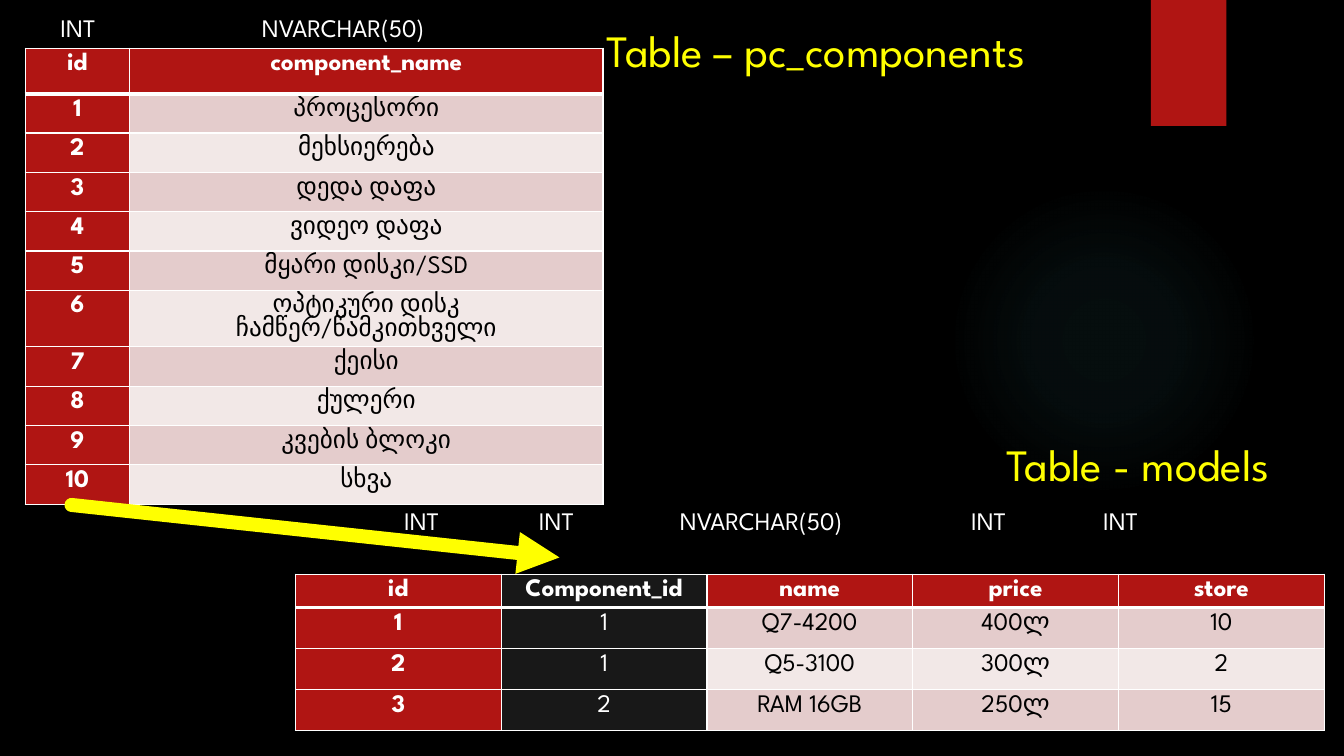
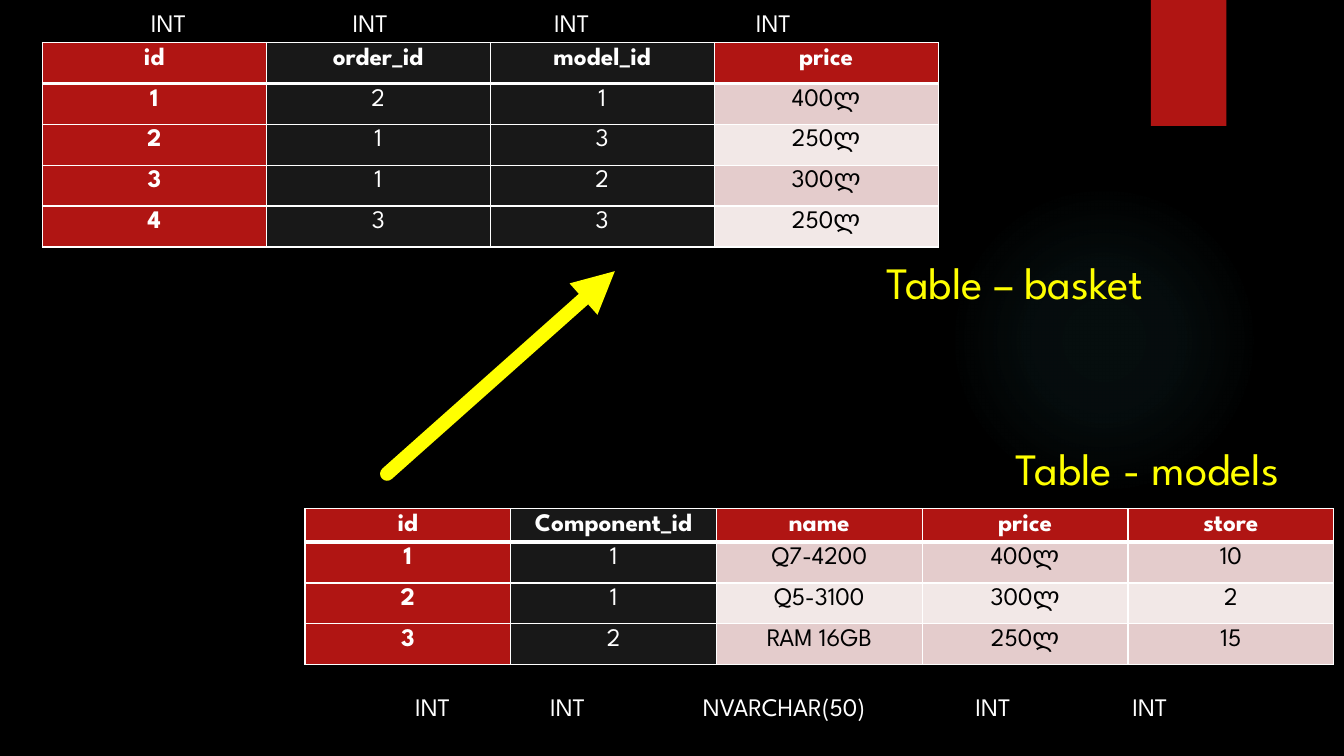
import dataclasses
import typing

import lxml.etree
import pptx
import pptx.dml.color
import pptx.enum.shapes
import pptx.enum.text
import pptx.oxml
import pptx.oxml.ns
import pptx.util

Pt = pptx.util.Pt
RGBColor = pptx.dml.color.RGBColor
Slide = typing.Any

BLACK = RGBColor(0x00, 0x00, 0x00)
WHITE = RGBColor(0xFF, 0xFF, 0xFF)
YELLOW = RGBColor(0xFF, 0xFF, 0x00)
RED = RGBColor(0xB0, 0x15, 0x13)
CHARCOAL = RGBColor(0x18, 0x18, 0x18)
BANDS = (RGBColor(0xE4, 0xCC, 0xCC), RGBColor(0xF2, 0xE8, 0xE7))
GLOW = RGBColor(0x50, 0xB9, 0xC1)
GLOW_STOPS = ((0, 7), (36, 6), (69, 0))
FONT = "League Spartan"
DRAWING = 'xmlns:a="http://schemas.openxmlformats.org/drawingml/2006/main"'


@dataclasses.dataclass(frozen=True)
class DataTable:
    left: float
    top: float
    column_widths: tuple[float, ...]
    row_heights: tuple[float, ...]
    rows: tuple[tuple[str, ...], ...]
    foreign_columns: tuple[int, ...] = ()


@dataclasses.dataclass(frozen=True)
class Label:
    text: str
    left: float
    top: float
    width: float
    size: float
    color: RGBColor
    tab_stops: tuple[float, ...] = ()


@dataclasses.dataclass(frozen=True)
class Arrow:
    start: tuple[float, float]
    end: tuple[float, float]


@dataclasses.dataclass(frozen=True)
class Page:
    tables: tuple[DataTable, ...]
    labels: tuple[Label, ...]
    arrow: Arrow


def caption(text: str, left: float, top: float, width: float) -> Label:
    return Label(text, left, top, width, 32, YELLOW)


def column_types(
    types: tuple[str, ...], left: float, top: float, width: float, tab_stops: tuple[float, ...]
) -> Label:
    return Label("\t".join(types), left, top, width, 18, WHITE, tab_stops)


def models_table(left: float, top: float) -> DataTable:
    rows = (
        ("id", "Component_id", "name", "price", "store"),
        ("1", "1", "Q7-4200", "400ლ", "10"),
        ("2", "1", "Q5-3100", "300ლ", "2"),
        ("3", "2", "RAM 16GB", "250ლ", "15"),
    )
    return DataTable(left, top, (147,) * 5, (23.8,) + (29.2,) * 3, rows, (1,))


COMPONENTS = (
    "პროცესორი",
    "მეხსიერება",
    "დედა დაფა",
    "ვიდეო დაფა",
    "მყარი დისკი/SSD",
    "ოპტიკური დისკ ჩამწერ/წამკითხველი",
    "ქეისი",
    "ქულერი",
    "კვების ბლოკი",
    "სხვა",
)
COMPONENTS_TABLE = DataTable(
    18,
    34.5,
    (74.6, 338.2),
    (32.4,) + (28.1,) * 5 + (40.2,) + (28.1,) * 4,
    (("id", "component_name"),)
    + tuple((str(number), name) for number, name in enumerate(COMPONENTS, 1)),
)
BASKET_TABLE = DataTable(
    30.2,
    30.4,
    (160,) * 4,
    (29.2,) * 5,
    (
        ("id", "order_id", "model_id", "price"),
        ("1", "2", "1", "400ლ"),
        ("2", "1", "3", "250ლ"),
        ("3", "1", "2", "300ლ"),
        ("4", "3", "3", "250ლ"),
    ),
    (1, 2),
)
MODEL_TYPES = ("INT", "INT", "NVARCHAR(50)", "INT", "INT")
PAGES = (
    Page(
        (COMPONENTS_TABLE, models_table(211, 410.2)),
        (
            caption("Table – pc_components", 426.4, 13, 421),
            caption("Table - models", 711.6, 308.2, 241),
            column_types(("INT", "NVARCHAR(50)"), 36, 5.4, 312, (144,)),
            column_types(MODEL_TYPES, 281.5, 357.4, 627, (96.4, 197, 405, 499.3)),
        ),
        Arrow((51.1, 360.7), (399.6, 398.2)),
    ),
    Page(
        (BASKET_TABLE, models_table(217.8, 363.4)),
        (
            caption("Table - models", 718.6, 311, 241),
            caption("Table – basket", 626.4, 178.6, 326),
            column_types(MODEL_TYPES, 289.4, 490.3, 627, (96.4, 205.5, 400.3, 512.3)),
            column_types(("INT",) * 4, 100.8, 1.4, 526, (144, 288, 432)),
        ),
        Arrow((276.5, 338.4), (439.2, 193.7)),
    ),
)


def draw_backdrop(slide: Slide) -> None:
    slide.background.fill.solid()
    slide.background.fill.fore_color.rgb = BLACK
    shapes = pptx.enum.shapes.MSO_SHAPE
    glow = slide.shapes.add_shape(shapes.OVAL, Pt(677.5), Pt(131.8), Pt(221.8), Pt(221.8))
    ribbon = slide.shapes.add_shape(shapes.RECTANGLE, Pt(822), Pt(0), Pt(54), Pt(90))
    for shape in (glow, ribbon):
        shape.shadow.inherit = False
        shape.line.fill.background()
    ribbon.fill.solid()
    ribbon.fill.fore_color.rgb = RED
    stops = "".join(
        f'<a:gs pos="{position * 1000}"><a:srgbClr val="{GLOW}">'
        f'<a:alpha val="{opacity * 1000}"/></a:srgbClr></a:gs>'
        for position, opacity in GLOW_STOPS
    )
    gradient = pptx.oxml.parse_xml(
        f'<a:gradFill {DRAWING} rotWithShape="1"><a:gsLst>{stops}</a:gsLst>'
        '<a:path path="circle"><a:fillToRect l="50000" t="50000" r="50000" b="50000"/>'
        "</a:path></a:gradFill>"
    )
    glow._element.spPr.find(pptx.oxml.ns.qn("a:prstGeom")).addnext(gradient)


def set_borders(cell: typing.Any, row_index: int) -> None:
    widths = {
        "lnL": 1,
        "lnR": 1,
        "lnT": 3 if row_index == 1 else 1,
        "lnB": 3 if row_index == 0 else 1,
    }
    properties = cell._tc.get_or_add_tcPr()
    for tag, width in widths.items():
        properties.append(
            pptx.oxml.parse_xml(
                f'<a:{tag} {DRAWING} w="{Pt(width)}"><a:solidFill>'
                f'<a:srgbClr val="{WHITE}"/></a:solidFill></a:{tag}>'
            )
        )


def draw_table(slide: Slide, data: DataTable) -> None:
    table = slide.shapes.add_table(
        len(data.rows),
        len(data.column_widths),
        Pt(data.left),
        Pt(data.top),
        Pt(sum(data.column_widths)),
        Pt(sum(data.row_heights)),
    ).table
    for column, width in zip(table.columns, data.column_widths):
        column.width = Pt(width)
    for row_index, values in enumerate(data.rows):
        table.rows[row_index].height = Pt(data.row_heights[row_index])
        for column_index, value in enumerate(values):
            heading = row_index == 0 or column_index == 0
            foreign = column_index in data.foreign_columns
            cell = table.cell(row_index, column_index)
            set_borders(cell, row_index)
            cell.fill.solid()
            if foreign:
                cell.fill.fore_color.rgb = CHARCOAL
            elif heading:
                cell.fill.fore_color.rgb = RED
            else:
                cell.fill.fore_color.rgb = BANDS[(row_index - 1) % 2]
            cell.text = value
            paragraph = cell.text_frame.paragraphs[0]
            paragraph.alignment = pptx.enum.text.PP_ALIGN.CENTER
            paragraph.font.name = FONT
            paragraph.font.size = Pt(18)
            paragraph.font.bold = heading
            paragraph.font.color.rgb = WHITE if heading or foreign else BLACK


def draw_label(slide: Slide, label: Label) -> None:
    height = label.size * 0.92 + 7.2
    box = slide.shapes.add_textbox(Pt(label.left), Pt(label.top), Pt(label.width), Pt(height))
    box.text_frame.word_wrap = True
    paragraph = box.text_frame.paragraphs[0]
    paragraph.add_run().text = label.text
    paragraph.font.name = FONT
    paragraph.font.size = Pt(label.size)
    paragraph.font.color.rgb = label.color
    if label.tab_stops:
        stops = "".join(f'<a:tab pos="{Pt(stop)}" algn="l"/>' for stop in label.tab_stops)
        tabs = pptx.oxml.parse_xml(f"<a:tabLst {DRAWING}>{stops}</a:tabLst>")
        paragraph._p.get_or_add_pPr().insert(0, tabs)


def draw_arrow(slide: Slide, arrow: Arrow) -> None:
    connector = slide.shapes.add_connector(
        pptx.enum.shapes.MSO_CONNECTOR.STRAIGHT,
        *(Pt(value) for value in arrow.start + arrow.end),
    )
    connector.line.color.rgb = YELLOW
    connector.line.width = Pt(10)
    outline = connector.line._get_or_add_ln()
    outline.set("cap", "rnd")
    qualified = pptx.oxml.ns.qn
    lxml.etree.SubElement(outline, qualified("a:tailEnd"), type="triangle")
    lxml.etree.SubElement(connector._element.spPr, qualified("a:effectLst"))


def main() -> None:
    presentation = pptx.Presentation()
    presentation.slide_width = Pt(960)
    presentation.slide_height = Pt(540)
    for page in PAGES:
        slide = presentation.slides.add_slide(presentation.slide_layouts[6])
        draw_backdrop(slide)
        for table in page.tables:
            draw_table(slide, table)
        for label in page.labels:
            draw_label(slide, label)
        draw_arrow(slide, page.arrow)
    presentation.save("out.pptx")


if __name__ == "__main__":
    main()
